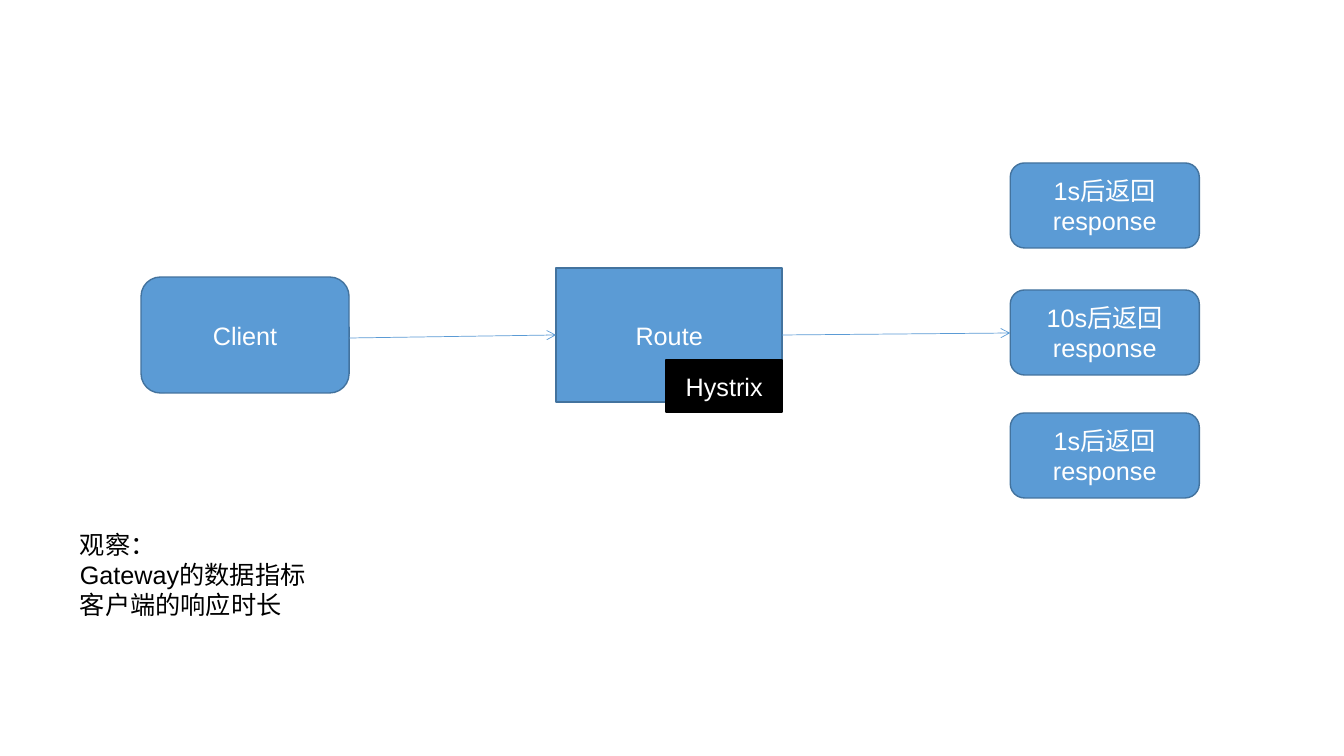
import pptx
import pptx.util
import pptx.dml.color
import pptx.enum.shapes
import pptx.enum.text
import pptx.oxml
import pptx.oxml.ns
from dataclasses import dataclass

SCALE = 914400 / 100.8  # EMU per pixel
KIND = pptx.enum.shapes.MSO_SHAPE
ALIGN = pptx.enum.text.PP_ALIGN
ANCHOR = pptx.enum.text.MSO_ANCHOR


@dataclass(frozen=True)
class Theme:
    blue: str = "5B9BD5"
    edge: str = "43739E"
    black: str = "000000"
    white: str = "FFFFFF"
    font: str = "Arial"
    size: int = 18
    rim: float = 1
    thin: float = 0.5


THEME = Theme()


def emu(*nums):
    return [round(n * SCALE) for n in nums]


def rgb(code):
    return pptx.dml.color.RGBColor.from_string(code)


def write(frame, text, color=THEME.white, align=ALIGN.CENTER, anchor=ANCHOR.MIDDLE):
    frame.word_wrap = True
    frame.vertical_anchor = anchor
    frame.text = text
    for para in frame.paragraphs:
        para.alignment = align
        for run in para.runs:
            run.font.name = THEME.font
            run.font.size = pptx.util.Pt(THEME.size)
            run.font.color.rgb = rgb(color)


def node(slide, kind, box, text, fill=THEME.blue, edge=THEME.edge):
    shape = slide.shapes.add_shape(kind, *emu(*box))
    shape.shadow.inherit = False
    shape.fill.solid()
    shape.fill.fore_color.rgb = rgb(fill)
    shape.line.color.rgb = rgb(edge)
    shape.line.width = pptx.util.Pt(THEME.rim)
    write(shape.text_frame, text)
    return shape


def arrow(slide, start, end):
    link = slide.shapes.add_connector(
        pptx.enum.shapes.MSO_CONNECTOR.STRAIGHT, *emu(*start, *end))
    link.line.color.rgb = rgb(THEME.blue)
    link.line.width = pptx.util.Pt(THEME.thin)
    tip = pptx.oxml.parse_xml(
        '<a:tailEnd %s type="arrow"/>' % pptx.oxml.ns.nsdecls("a"))
    link.line._get_or_add_ln().append(tip)
    link._element.spPr.append(
        pptx.oxml.parse_xml("<a:effectLst %s/>" % pptx.oxml.ns.nsdecls("a")))


# Gateway with its breaker overlapping the lower right corner
def gateway(slide, box):
    left, top, width, height = box
    node(slide, KIND.RECTANGLE, box, "Route")
    wide, high, drop = 116, 52, 10
    badge = (left + width - wide, top + height + drop - high, wide, high)
    node(slide, KIND.FLOWCHART_PROCESS, badge, "Hystrix",
         fill=THEME.black, edge=THEME.black)


# Column of servers, each with its delay
def servers(slide, box):
    left, top, width, height = box
    for delay, shift in (("1s", 0), ("10s", 127), ("1s", 250)):
        node(slide, KIND.FLOWCHART_ALTERNATE_PROCESS,
             (left, top + shift, width, height), delay + "后返回response")


# Points to observe
def notes(slide, box):
    area = slide.shapes.add_textbox(*emu(*box))
    write(area.text_frame, "观察：\nGateway的数据指标\n客户端的响应时长",
          color=THEME.black, align=ALIGN.LEFT, anchor=ANCHOR.TOP)


def main():
    deck = pptx.Presentation()
    deck.slide_width = pptx.util.Inches(13.33)
    deck.slide_height = pptx.util.Inches(7.5)
    slide = deck.slides.add_slide(deck.slide_layouts[6])

    gateway(slide, (556, 268, 226, 134))
    node(slide, KIND.ROUNDED_RECTANGLE, (141, 277, 208, 116), "Client")
    servers(slide, (1010, 163, 189, 85))
    arrow(slide, (349, 338), (556, 335))
    arrow(slide, (782, 335), (1010, 333))
    notes(slide, (70, 524, 372, 132))
    deck.save("out.pptx")


main()
